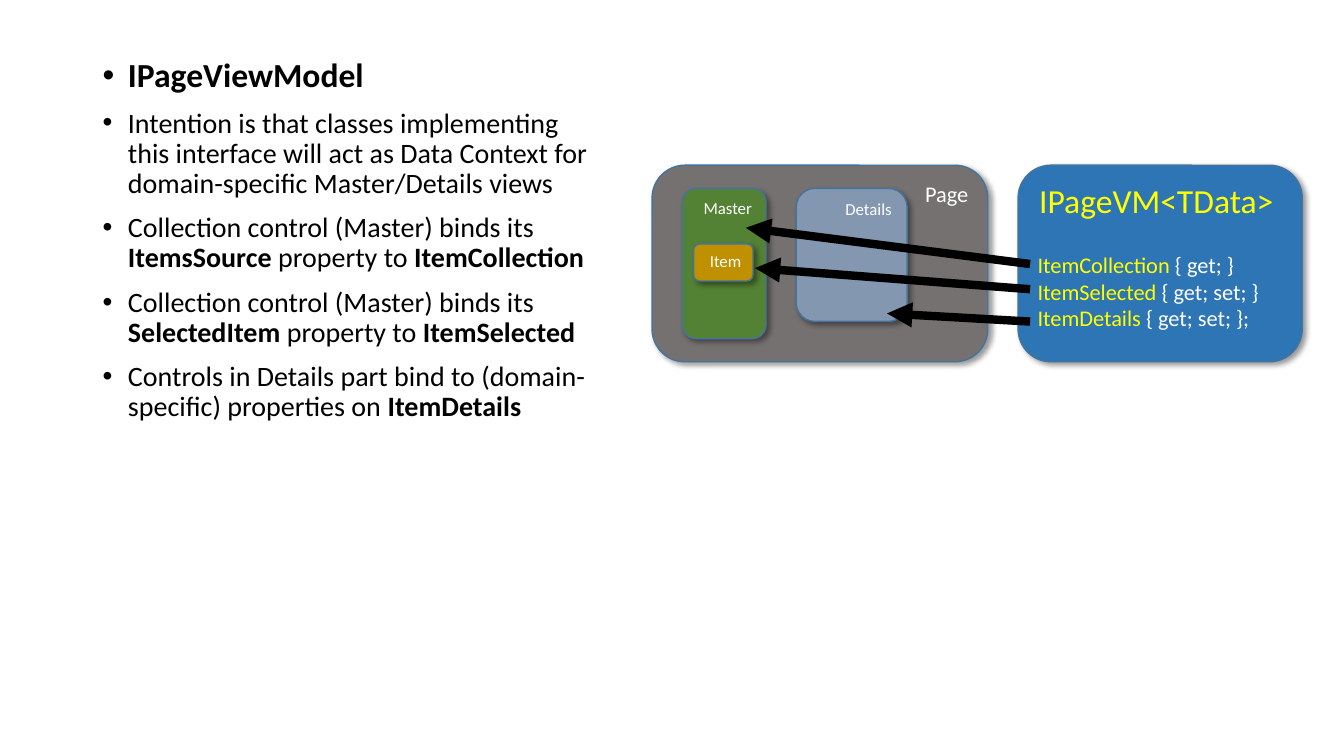
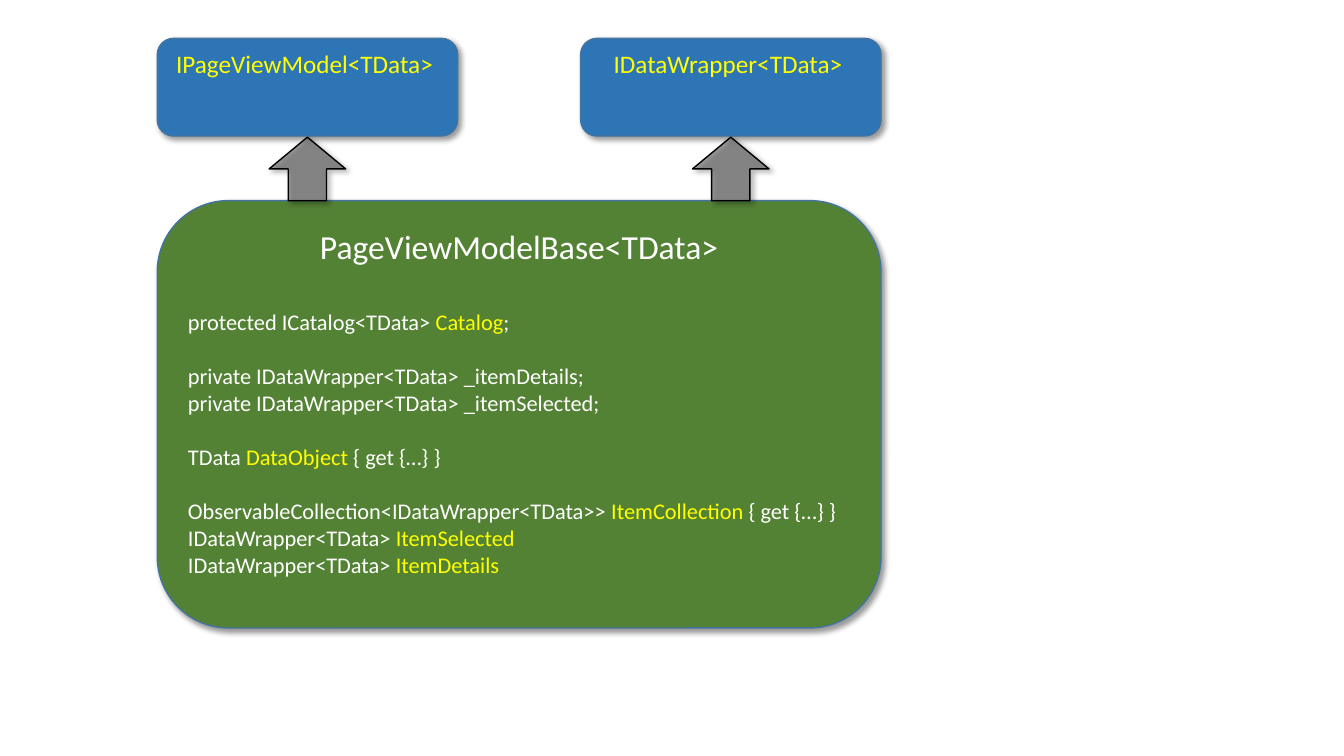
import pptx
import pptx.util
import pptx.dml.color
import pptx.enum.shapes
import pptx.enum.text
import pptx.oxml.ns
import lxml.etree

Pt = pptx.util.Pt
Align = pptx.enum.text.PP_ALIGN
Form = pptx.enum.shapes.MSO_SHAPE
Line = pptx.enum.shapes.MSO_CONNECTOR
qn = pptx.oxml.ns.qn

COLORS = {
    "blue": "2E75B6", "edge": "43739E", "gray": "767171",
    "green": "548235", "slate": "8497B0", "gold": "BF9000",
    "dark": "595959", "black": "000000", "white": "FFFFFF",
    "yellow": "FFFF00",
}
FONT = "Calibri"


def color(name):
    return pptx.dml.color.RGBColor.from_string(COLORS[name])


def add(parent, tag, **attrs):
    return lxml.etree.SubElement(parent, qn(tag), attrs)


class Deck:
    def __init__(self):
        self.deck = pptx.Presentation()
        self.deck.slide_width, self.deck.slide_height = Pt(960), Pt(540)

    def start(self, layout):
        self.slide = self.deck.slides.add_slide(self.deck.slide_layouts[layout])

    def put(self, para, text, size, tint, style):
        para.font.name, para.font.size = FONT, Pt(size)
        parts = text.split("*")
        if len(parts) == 1:
            para.font.color.rgb = color(tint)
        for pos, part in enumerate(parts):
            if not part:
                continue
            run = para.add_run()
            run.text = part
            if len(parts) > 1:
                style(run.font, pos % 2 == 1)

    def points(self, place, items):
        title = self.slide.shapes.title
        title.element.getparent().remove(title.element)
        body = self.slide.placeholders[1]
        body.left, body.top, body.width, body.height = map(Pt, place)
        frame = body.text_frame
        frame.auto_size = pptx.enum.text.MSO_AUTO_SIZE.NONE

        def style(font, strong):
            font.bold = strong

        for pos, (text, size) in enumerate(items):
            para = frame.add_paragraph() if pos else frame.paragraphs[0]
            para.line_spacing, para.space_before = 0.9, Pt(10)
            self.put(para, text, size, "black", style)
            props = para._p.get_or_add_pPr()
            props.set("marL", str(Pt(18)))
            props.set("indent", str(Pt(-18)))

    def shape(self, form, place, fill, edge):
        shape = self.slide.shapes.add_shape(form, *map(Pt, place))
        shape.fill.solid()
        shape.fill.fore_color.rgb = color(fill)
        shape.line.color.rgb = color(edge)
        shape.line.width = Pt(1)
        shape.shadow.inherit = False
        effects = shape.element.spPr.find(qn("a:effectLst"))
        shade = add(effects, "a:outerShdw", blurRad=str(Pt(4)), dist=str(Pt(3)),
                    dir="2700000", algn="tl", rotWithShape="0")
        tone = add(shade, "a:srgbClr", val=COLORS["black"])
        add(tone, "a:alpha", val="40000")
        return shape

    def box(self, place, fill, lines):
        frame = self.shape(Form.ROUNDED_RECTANGLE, place, fill, "edge").text_frame
        frame.word_wrap = True
        frame.vertical_anchor = pptx.enum.text.MSO_ANCHOR.TOP

        def style(font, accent):
            font.color.rgb = color("yellow" if accent else "white")

        for pos, (text, size, align, gap) in enumerate(lines):
            para = frame.add_paragraph() if pos else frame.paragraphs[0]
            para.alignment, para.space_before = align, Pt(gap)
            self.put(para, text, size, "white", style)

    def arrow(self, place):
        shape = self.shape(Form.UP_ARROW, place, "dark", "black")
        tone = shape.element.spPr.find(qn("a:solidFill"))[0]
        add(tone, "a:alpha", val="60000")

    def link(self, start, end):
        link = self.slide.shapes.add_connector(
            Line.STRAIGHT, *map(Pt, start + end))
        link.line.color.rgb = color("black")
        link.line.width = Pt(6)
        add(link.element.spPr.find(qn("a:ln")), "a:tailEnd", type="triangle")
        add(link.element.spPr, "a:effectLst")


def code(text, gap=0):
    return text, 16, Align.LEFT, gap


def views(deck):
    deck.start(1)
    deck.points((66.2, 38.2, 361.5, 444), [
        ("*IPageViewModel", 24),
        ("Intention is that classes implementing this interface will act as "
         "Data Context for domain-specific Master/Details views", 20),
        ("Collection control (Master) binds its *ItemsSource *property to "
         "*ItemCollection", 20),
        ("Collection control (Master) binds its *SelectedItem *property to "
         "*ItemSelected", 20),
        ("Controls in Details part bind to (domain-specific) properties on "
         "*ItemDetails", 20),
    ])
    deck.box((727.2, 118, 203, 140.4), "blue", [
        ("*IPageVM<TData> ", 24, Align.CENTER, 0),
        code("*ItemCollection *{ get; }", 22),
        code("*ItemSelected *{ get; set; }"),
        code("*ItemDetails *{ get; set; };"),
    ])
    for text, size, fill, place in [
        ("Page", 16, "gray", (465.8, 118, 239.8, 140.4)),
        ("Master", 12, "green", (487.4, 134.6, 59.8, 107.3)),
        ("Details", 12, "slate", (568.8, 134.6, 79.2, 95)),
        ("Item", 12, "gold", (495.4, 174.2, 42.5, 26.6)),
    ]:
        deck.box(place, fill, [(text, size, Align.RIGHT, 0)])
    for top, end in [(229.7, (633.6, 223.9)), (206.6, (539.3, 191.5)),
                     (188.6, (532.8, 162.7))]:
        deck.link((735.8, top), end)


def base(deck):
    deck.start(6)
    deck.box((112.3, 143.3, 517, 305.3), "green", [
        ("PageViewModelBase<TData>", 24, Align.CENTER, 0),
        code("protected ICatalog<TData> *Catalog*;", 29.3),
        code("private IDataWrapper<TData> _itemDetails;", 19.5),
        code("private IDataWrapper<TData> _itemSelected;"),
        code("TData *DataObject* { get {…} }", 19.5),
        code("ObservableCollection<IDataWrapper<TData>> *ItemCollection* "
             "{ get {…} }", 19.5),
        code("IDataWrapper<TData> *ItemSelected"),
        code("IDataWrapper<TData> *ItemDetails"),
    ])
    wide, thin = 214.6, 54.7
    for left, text in [(112.3, "*IPageViewModel<TData> "),
                       (414.7, "*IDataWrapper<TData> ")]:
        deck.box((left, 27.4, wide, 69.8), "blue",
                 [(text, 18, Align.CENTER, 0)])
        deck.arrow((left + (wide - thin) / 2, 98, thin, 45.4))


def main():
    deck = Deck()
    views(deck)
    base(deck)
    deck.deck.save("out.pptx")


if __name__ == "__main__":
    main()
